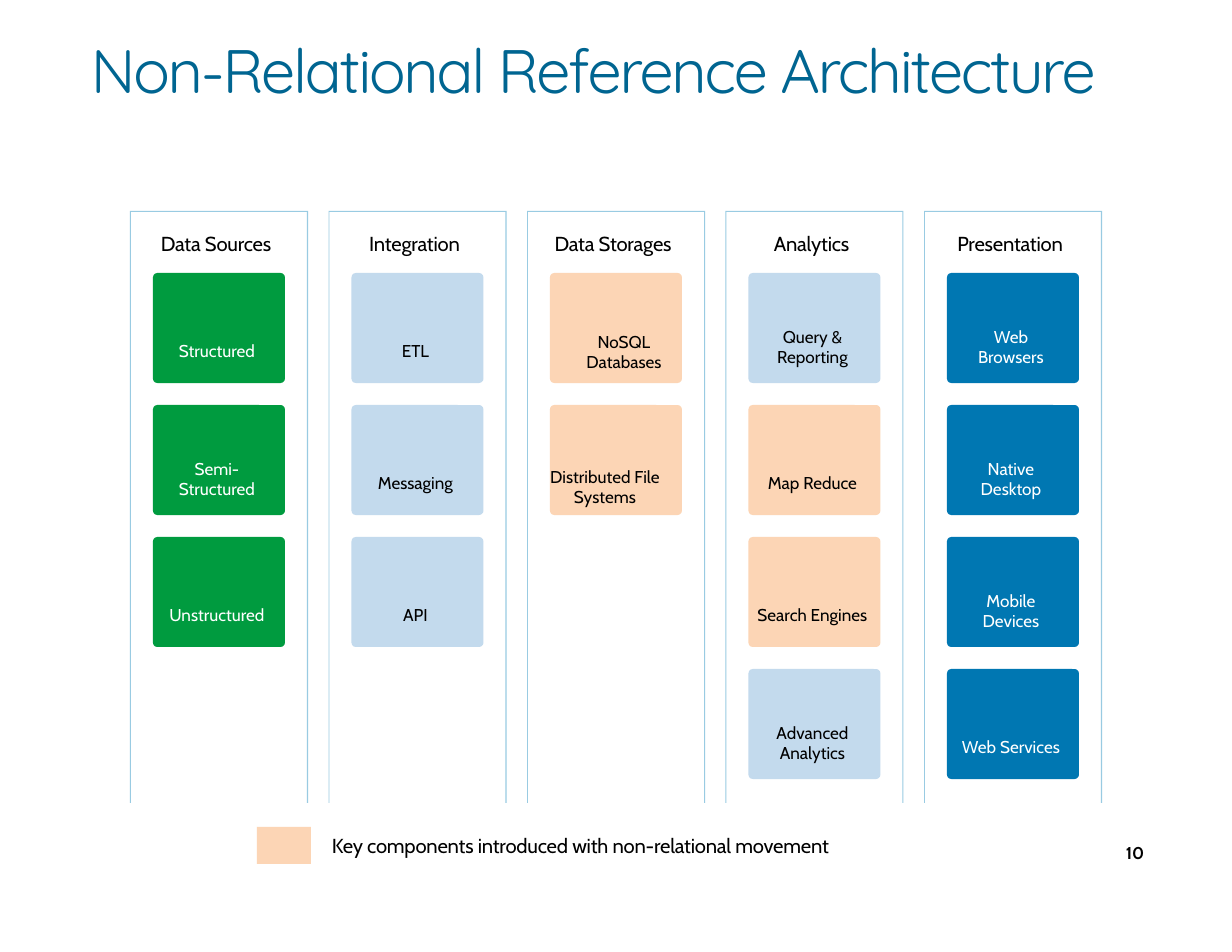
"""Build the non-relational reference architecture slide."""
from pptx import Presentation
from pptx.dml.color import RGBColor
from pptx.enum.shapes import MSO_SHAPE as Shape
from pptx.enum.text import PP_ALIGN as Align
from pptx.util import Emu, Pt

GREEN, PALE, PEACH, BLUE = "009B3F", "C3DAED", "FCD5B5", "0077B2"
RULE, WHITE, BLACK = "99CBE2", "FFFFFF", "000000"

TITLE = "Non-Relational Reference Architecture"
KEY = "Key components introduced with non-relational movement"
COLS = [
    ("Data Sources", [("Structured", GREEN), ("Semi-\vStructured", GREEN),
                      ("Unstructured", GREEN)]),
    ("Integration", [("ETL", PALE), ("Messaging", PALE), ("API", PALE)]),
    ("Data Storages", [("NoSQL\nDatabases", PEACH),
                       ("Distributed File\vSystems", PEACH)]),
    ("Analytics", [("Query &\vReporting", PALE), ("Map Reduce", PEACH),
                   ("Search Engines", PEACH), ("Advanced\vAnalytics", PALE)]),
    ("Presentation", [("Web\vBrowsers", BLUE), ("Native\vDesktop", BLUE),
                      ("Mobile\vDevices", BLUE), ("Web Services", BLUE)]),
]
NUDGE = {"NoSQL\nDatabases": (10, 5), "Distributed File\vSystems": (-9, 8)}

LEFT, TOP, STEP, WIDE, TALL = 130, 211, 198.5, 178, 592
CARD_TOP, ROW, CARD_W, CARD_H = 273, 132, 132, 110


def px(n):
    return Emu(round(n * 914400 / 112))


def paint(shape, color):
    shape.shadow.inherit = False
    shape.fill.solid()
    shape.fill.fore_color.rgb = RGBColor.from_string(color)
    shape.line.fill.background()


def block(kind, x, y, w, h, color):
    shape = slide.shapes.add_shape(kind, px(x), px(y), px(w), px(h))
    paint(shape, color)
    return shape


def label(text, x, y, w, h, size, color=BLACK, align=Align.LEFT,
          face="Cabin", bold=False, track=0):
    frame = slide.shapes.add_textbox(px(x), px(y), px(w), px(h)).text_frame
    frame.word_wrap = True
    frame.margin_left = frame.margin_right = 0
    frame.margin_top = frame.margin_bottom = 0
    frame.text = text
    for para in frame.paragraphs:
        para.alignment = align
        for run in para.runs:
            font = run.font
            font.name, font.size, font.bold = face, Pt(size), bold
            font.color.rgb = RGBColor.from_string(color)
            if track:
                run._r.get_or_add_rPr().set("spc", str(round(track * 100)))


def bracket(x, y, w, h):
    pen = slide.shapes.build_freeform(px(x), px(y + h), scale=1.0)
    spots = [(0, 0), (w, 0), (w, h), (w - 1, h), (w - 1, 1), (1, 1), (1, h)]
    pen.add_line_segments([(px(x + a), px(y + b)) for a, b in spots])
    paint(pen.convert_to_shape(), RULE)


def card(text, color, x, y):
    shape = block(Shape.ROUNDED_RECTANGLE, x, y, CARD_W, CARD_H, color)
    shape.adjustments[0] = 0.04
    lines = len(text.replace("\v", "\n").split("\n"))
    dx, dy = NUDGE.get(text, (0, 0))
    drop = 67 if lines == 1 else 53
    ink = WHITE if color in (GREEN, BLUE) else BLACK
    label(text, x - 2 + dx, y + drop + dy, CARD_W, 20 * lines, 11, ink,
          Align.CENTER)


deck = Presentation()
deck.slide_width, deck.slide_height = px(1232), px(952)
slide = deck.slides.add_slide(deck.slide_layouts[6])

label(TITLE, 91, 32, 1079, 122, 39.4, "006591", face="Quicksand", track=-1.4)
for i, (head, cards) in enumerate(COLS):
    x = LEFT + i * STEP
    bracket(x, TOP, WIDE, TALL)
    label(head, x - 3, 231, WIDE, 25, 13, align=Align.CENTER, track=-0.1)
    for j, (text, color) in enumerate(cards):
        card(text, color, x + (WIDE - CARD_W) / 2, CARD_TOP + j * ROW)

block(Shape.RECTANGLE, 257, 827, 54, 37, PEACH)
label(KEY, 332, 833, 529, 49, 13, track=-0.1)
label("10", 1126, 842, 22, 40, 11, bold=True, track=-0.1)
deck.save("out.pptx")
